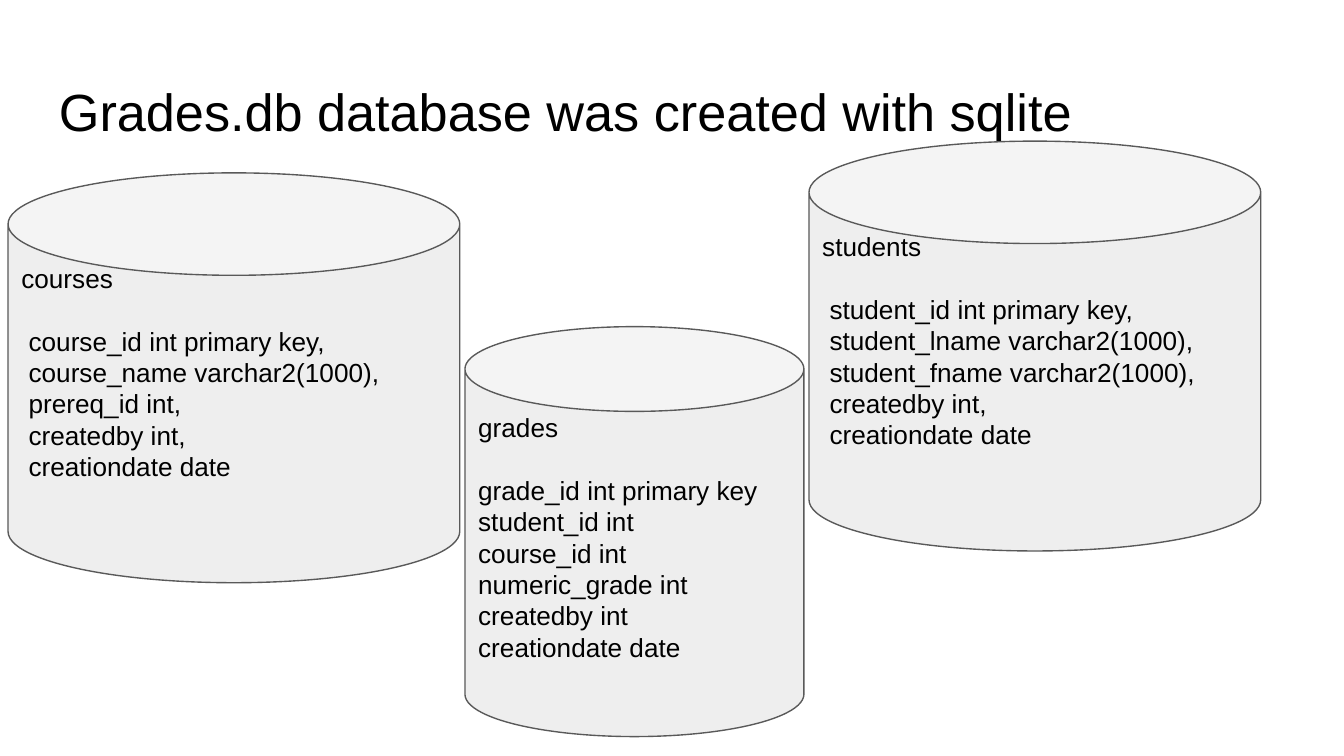
"""Build a slide showing the three tables of the grades database."""
from pptx import Presentation
from pptx.dml.color import RGBColor
from pptx.enum.shapes import MSO_SHAPE as Shape
from pptx.enum.text import MSO_ANCHOR as Anchor, PP_ALIGN as Align
from pptx.util import Pt

COLORS = {"text": "000000", "fill": "EEEEEE", "line": "595959"}
FONT = "Arial"
INSET = 7.2
LINE_HEIGHT = 16.8

TITLE = "Grades.db database was created with sqlite"
TABLES = [
    {"name": "grades", "box": (249.1, 175, 181.6, 219.6), "indent": 0, "lines_below": 1,
     "columns": ["grade_id int primary key", "student_id int", "course_id int",
                 "numeric_grade int", "createdby int", "creationdate date"]},
    {"name": "students", "box": (433.4, 75.6, 242, 219.6), "indent": 3.9, "lines_below": 2,
     "columns": ["student_id int primary key,", "student_lname varchar2(1000),",
                 "student_fname varchar2(1000),", "createdby int,", "creationdate date"]},
    {"name": "courses", "box": (4.3, 92.6, 242, 219.6), "indent": 3.9, "lines_below": 2,
     "columns": ["course_id int primary key,", "course_name varchar2(1000),",
                 "prereq_id int,", "createdby int,", "creationdate date"]},
]


def write_text(shape, lines, size, anchor=Anchor.TOP, indent=0, gap=0, bottom=INSET):
    frame = shape.text_frame
    frame.word_wrap = True
    frame.vertical_anchor = anchor
    frame.margin_left = frame.margin_right = frame.margin_top = Pt(INSET)
    frame.margin_bottom = Pt(bottom)
    for index, line in enumerate(lines):
        paragraph = frame.add_paragraph() if index else frame.paragraphs[0]
        paragraph.alignment = Align.LEFT
        paragraph.space_before = Pt(0)
        paragraph.space_after = Pt(0 if index else gap)
        if index and indent:
            paragraph._p.get_or_add_pPr().set("marL", str(Pt(indent)))
        run = paragraph.add_run()
        run.text = line
        run.font.name = FONT
        run.font.size = Pt(size)
        run.font.color.rgb = RGBColor.from_string(COLORS["text"])


def add_cylinder(slide, table):
    shape = slide.shapes.add_shape(Shape.CAN, *map(Pt, table["box"]))
    shape.adjustments[0] = 0.25
    shape.shadow.inherit = False
    shape.fill.solid()
    shape.fill.fore_color.rgb = RGBColor.from_string(COLORS["fill"])
    shape.line.color.rgb = RGBColor.from_string(COLORS["line"])
    shape.line.width = Pt(0.75)
    write_text(shape, [table["name"], *table["columns"]], 14, anchor=Anchor.MIDDLE,
               indent=table["indent"], gap=LINE_HEIGHT,
               bottom=INSET + table["lines_below"] * LINE_HEIGHT)


def main():
    presentation = Presentation()
    presentation.slide_width, presentation.slide_height = Pt(720), Pt(405)
    slide = presentation.slides.add_slide(presentation.slide_layouts[6])
    title = slide.shapes.add_textbox(Pt(24.5), Pt(35), Pt(671), Pt(45.1))
    write_text(title, [TITLE], 28)
    for table in TABLES:
        add_cylinder(slide, table)
    presentation.save("out.pptx")


if __name__ == "__main__":
    main()
